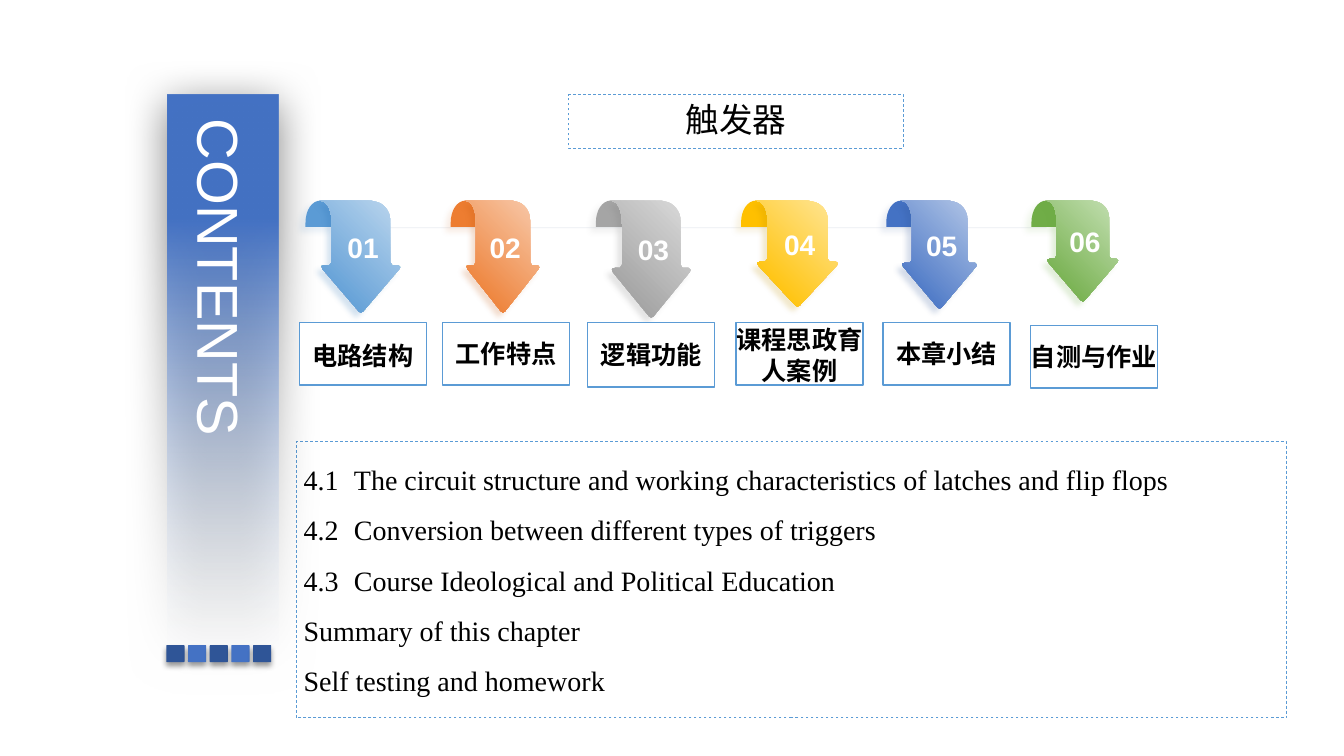
from lxml.etree import Element, SubElement
from pptx import Presentation
from pptx.dml.color import RGBColor
from pptx.enum.dml import MSO_LINE
from pptx.enum.shapes import MSO_CONNECTOR, MSO_SHAPE
from pptx.enum.text import MSO_ANCHOR, MSO_AUTO_SIZE, PP_ALIGN
from pptx.oxml.ns import qn
from pptx.util import Inches, Pt

WHITE = RGBColor(0xFF, 0xFF, 0xFF)
BLACK = RGBColor(0x00, 0x00, 0x00)
PALE = RGBColor(0xF7, 0xFA, 0xFD)
SKY = RGBColor(0x5B, 0x9B, 0xD5)
BLUE = RGBColor(0x44, 0x72, 0xC4)
NAVY = RGBColor(0x2F, 0x55, 0x97)
THREAD = RGBColor(0x99, 0xA8, 0xBD)
ORANGE = RGBColor(0xED, 0x7D, 0x31)
GRAY = RGBColor(0xA5, 0xA5, 0xA5)
GOLD = RGBColor(0xFF, 0xC0, 0x00)
GREEN = RGBColor(0x70, 0xAD, 0x47)
LIGHT_SKY = RGBColor(0xBD, 0xD7, 0xEE)
LIGHT_ORANGE = RGBColor(0xF8, 0xCB, 0xAD)
LIGHT_GRAY = RGBColor(0xDB, 0xDB, 0xDB)
LIGHT_GOLD = RGBColor(0xFF, 0xE6, 0x99)
LIGHT_BLUE = RGBColor(0xB4, 0xC7, 0xE7)
LIGHT_GREEN = RGBColor(0xC5, 0xE0, 0xB4)
DARK_SKY = RGBColor(0x2E, 0x75, 0xB6)
DARK_ORANGE = RGBColor(0xC5, 0x5A, 0x11)
DARK_GRAY = RGBColor(0x7C, 0x7C, 0x7C)
DARK_GOLD = RGBColor(0xBF, 0x90, 0x00)

CURL = [
    (0.15, 0), (0.23, 0, 0.29, 0.10, 0.29, 0.22), (0.29, 0.26), (0, 0.26),
    (0, 0.22), (0, 0.10, 0.06, 0, 0.15, 0),
]
ARROW_WIDTH, ARROW_HEIGHT = 0.8, 1.11
ARROW = [
    (0, 0), (0.51, 0), (0.55, 0.01), (0.63, 0.02, 0.70, 0.10, 0.70, 0.19),
    (0.70, 0.61), (0.72, 0.64), (0.78, 0.64), (0.80, 0.66), (0.79, 0.68),
    (0.43, 1.10), (0.41, 1.11), (0.39, 1.10), (0.03, 0.68), (0.02, 0.65),
    (0.05, 0.64), (0.10, 0.64), (0.12, 0.61), (0.12, 0.23),
    (0.12, 0.03, 0.04, 0, 0, 0),
]
TOPICS = [
    ("电路结构", 2.97, 3.2, 0.62, 0.8, 1.11, SKY, LIGHT_SKY, DARK_SKY),
    ("工作特点", 4.39, 3.2, 0.62, 0.74, 1.11, ORANGE, LIGHT_ORANGE, DARK_ORANGE),
    ("逻辑功能", 5.83, 3.2, 0.64, 0.8, 1.16, GRAY, LIGHT_GRAY, DARK_GRAY),
    ("课程思政育人案例", 7.3, 3.2, 0.62, 0.82, 1.05, GOLD, LIGHT_GOLD, DARK_GOLD),
    ("本章小结", 8.76, 3.2, 0.62, 0.76, 1.07, BLUE, LIGHT_BLUE, NAVY),
    ("自测与作业", 10.22, 3.23, 0.62, 0.72, 1, GREEN, LIGHT_GREEN, GREEN),
]
SECTIONS = [
    "4.1\tThe circuit structure and working characteristics of latches and flip flops",
    "4.2\tConversion between different types of triggers",
    "4.3\tCourse Ideological and Political Education",
    "Summary of this chapter",
    "Self testing and homework",
]


def cast_shadow(shape, color, opacity, blur, distance, direction):
    shape.shadow.inherit = False
    effects = shape._element.spPr.find(qn("a:effectLst"))
    outer = SubElement(effects, qn("a:outerShdw"), blurRad=str(Pt(blur)),
                       dist=str(Pt(distance)), dir=str(direction * 60000),
                       algn="ctr", rotWithShape="0")
    tint = SubElement(outer, qn("a:srgbClr"), val=str(color))
    SubElement(tint, qn("a:alpha"), val=str(opacity * 1000))


def add_outline(segments, left, top, x_scale=1, y_scale=1):
    ends = [(Inches(left + segment[-2] * x_scale), Inches(top + segment[-1] * y_scale))
            for segment in segments]
    builder = slide.shapes.build_freeform(*ends[0], scale=1.0)
    builder.add_line_segments(ends[1:], close=True)
    outline = builder.convert_to_shape()
    outline.line.fill.background()
    moves = list(outline._element.spPr.find(".//" + qn("a:path")))
    for segment, move in zip(segments, moves):
        if len(segment) == 6:
            move.tag = qn("a:cubicBezTo")
            for k in (0, 1):
                x, y = segment[2 * k:2 * k + 2]
                move.insert(k, Element(
                    qn("a:pt"),
                    x=str(Inches(left + x * x_scale) - outline.left),
                    y=str(Inches(top + y * y_scale) - outline.top)))
    return outline


prs = Presentation()
prs.slide_width, prs.slide_height = Inches(13.33), Inches(7.5)
slide = prs.slides.add_slide(prs.slide_layouts[1])
shapes = slide.shapes
styled_texts = []

bar = shapes.add_shape(MSO_SHAPE.RECTANGLE, Inches(-0.58), Inches(3.18), Inches(5.59), Inches(1.1))
bar.rotation = 90
bar.line.fill.background()
bar.fill.gradient()
bar.fill.gradient_angle = 180
fade, solid = bar.fill.gradient_stops
fade.color.rgb, fade.position = PALE, 0
solid.color.rgb, solid.position = BLUE, 0.78
faded_color = bar._element.spPr.find(".//" + qn("a:srgbClr"))
SubElement(faded_color, qn("a:alpha"), val="0")
cast_shadow(bar, BLACK, 50, 31, 6, 97)

for i in range(5):
    square = shapes.add_shape(MSO_SHAPE.ROUNDED_RECTANGLE, Inches(1.65 + i * 0.86 / 4),
                              Inches(6.4), Inches(0.18), Inches(0.17))
    square.adjustments[0] = 0.05
    square.fill.solid()
    square.fill.fore_color.rgb = BLUE if i % 2 else NAVY
    square.line.fill.background()
    cast_shadow(square, BLACK, 40, 4, 3, 90)

contents = shapes.add_textbox(Inches(1.76), Inches(1.14), Inches(0.84), Inches(3.71))
contents.text_frame.text = "CONTENTS"
contents.text_frame.word_wrap = True
contents.text_frame._txBody.bodyPr.set("vert", "eaVert")
styled_texts.append((contents, 41.2, "Arial", WHITE, False, PP_ALIGN.LEFT))

thread = shapes.add_connector(MSO_CONNECTOR.STRAIGHT, Inches(3.74), Inches(2.26),
                              Inches(10.38), Inches(2.26))
thread.line.color.rgb = THREAD
thread.line.width = Pt(0.5)
thread_color = thread._element.spPr.find(".//" + qn("a:srgbClr"))
SubElement(thread_color, qn("a:alpha"), val="20000")
SubElement(thread._element.spPr, qn("a:effectLst"))

for i, (topic, left, top, height, width, length, color, light, dark) in enumerate(TOPICS):
    curl = add_outline(CURL, 3.03 + 1.44 * i, 1.99)
    curl.fill.solid()
    curl.fill.fore_color.rgb = color
    cast_shadow(curl, dark, 10, 4, 5, 135)

    arrow = add_outline(ARROW, 3.17 + 1.44 * i, 1.99, width / ARROW_WIDTH, length / ARROW_HEIGHT)
    arrow.fill.gradient()
    arrow.fill.gradient_angle = 225
    first, last = arrow.fill.gradient_stops
    first.color.rgb, first.position = light, 0
    last.color.rgb, last.position = color, 0.8 if color == GRAY else 0.9
    cast_shadow(arrow, dark, 20, 4, 5, 135)
    number = arrow.text_frame
    number.text = f"{i + 1:02}"
    number.word_wrap = False
    number.vertical_anchor = MSO_ANCHOR.MIDDLE
    number.margin_left, number.margin_right = Inches(0.16), Inches(0.1)
    number.margin_top, number.margin_bottom = Inches(0.07), Inches(0.26)
    styled_texts.append((arrow, 20.1, "Arial", WHITE, True, PP_ALIGN.CENTER))

    label = shapes.add_shape(MSO_SHAPE.RECTANGLE, Inches(left), Inches(top),
                             Inches(1.26), Inches(height))
    label.shadow.inherit = False
    label.fill.solid()
    label.fill.fore_color.rgb = WHITE
    label.line.color.rgb = SKY
    label.line.width = Pt(1)
    caption = label.text_frame
    caption.text = topic
    caption.word_wrap = True
    caption.vertical_anchor = MSO_ANCHOR.BOTTOM if len(topic) > 5 else MSO_ANCHOR.MIDDLE
    caption.margin_left = caption.margin_right = caption.margin_top = caption.margin_bottom = 0
    if i == 0:
        caption.paragraphs[0].line_spacing = 1.1
    styled_texts.append((label, 18, "Arial", BLACK, True, PP_ALIGN.CENTER))

title, sections = shapes.title, slide.placeholders[1]
title.left, title.top, title.width, title.height = map(Inches, (5.64, 0.94, 3.32, 0.53))
sections.left, sections.top, sections.width, sections.height = map(Inches, (2.94, 4.38, 9.82, 2.74))
title.text_frame.text = "触发器"
sections.text_frame.text = "\n".join(SECTIONS)
for paragraph in sections.text_frame.paragraphs:
    properties = paragraph._p.get_or_add_pPr()
    properties.set("marL", "0")
    properties.set("indent", "0")
    SubElement(properties, qn("a:buNone"))
    tabs = SubElement(properties, qn("a:tabLst"))
    SubElement(tabs, qn("a:tab"), pos=str(Inches(0.49)), algn="l")
    paragraph.line_spacing = 1.5
    paragraph.space_before = Pt(0)
for frame in (title, sections):
    frame.line.color.rgb = SKY
    frame.line.width = Pt(0.5)
    frame.line.dash_style = MSO_LINE.DASH
    frame.text_frame.auto_size = MSO_AUTO_SIZE.NONE
    frame.text_frame.vertical_anchor = MSO_ANCHOR.TOP
styled_texts.append((title, 24, "Noto Sans CJK SC", BLACK, False, PP_ALIGN.CENTER))
styled_texts.append((sections, 20, "Times New Roman", BLACK, False, PP_ALIGN.LEFT))

for frame in (contents, title, sections):
    frame.text_frame.margin_left = frame.text_frame.margin_right = Inches(0.07)
    frame.text_frame.margin_top = frame.text_frame.margin_bottom = Inches(0.04)
for holder, size, typeface, color, bold, alignment in styled_texts:
    for paragraph in holder.text_frame.paragraphs:
        paragraph.alignment = alignment
        for run in paragraph.runs:
            run.font.size = Pt(size)
            run.font.name = typeface
            run.font.bold = bold
            run.font.color.rgb = color
            SubElement(run._r.rPr, qn("a:ea"), typeface="Noto Sans CJK SC")

prs.save("out.pptx")
